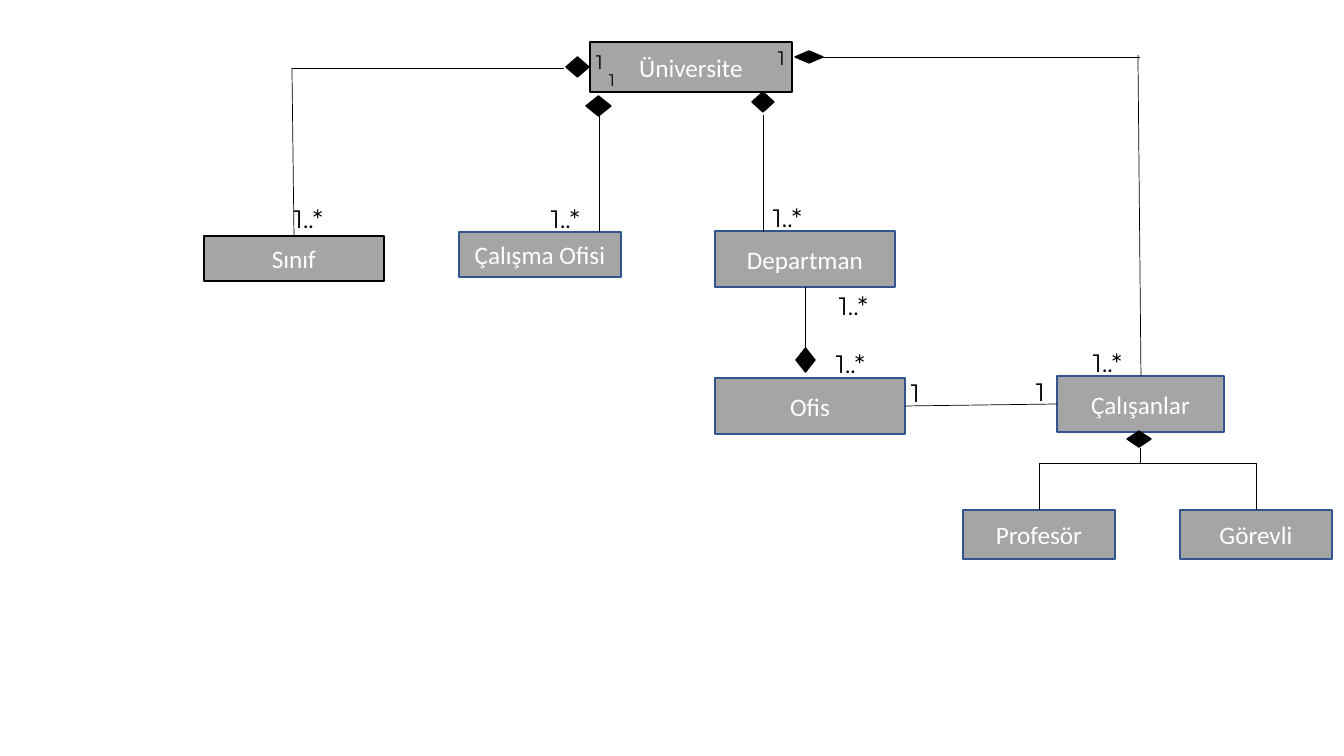
import pptx
import pptx.util
import pptx.dml.color
import pptx.enum.shapes
import pptx.enum.text
import pptx.oxml.ns
import lxml.etree

RGBColor = pptx.dml.color.RGBColor
Pt = pptx.util.Pt
MSO_SHAPE = pptx.enum.shapes.MSO_SHAPE
PP_ALIGN = pptx.enum.text.PP_ALIGN
MSO_ANCHOR = pptx.enum.text.MSO_ANCHOR
BLACK = RGBColor(0x00, 0x00, 0x00)
WHITE = RGBColor(0xFF, 0xFF, 0xFF)
GRAY = RGBColor(0xA5, 0xA5, 0xA5)
BLUE = RGBColor(0x32, 0x54, 0x91)

CLASSES = [
    ("Üniversite", (590, 42, 202, 50), BLACK),
    ("Sınıf", (204, 236, 180, 45), BLACK),
    ("Çalışma Ofisi", (459, 232, 162, 45), BLUE),
    ("Departman", (715, 231, 180, 56), BLUE),
    ("Ofis", (715, 378, 190, 56), BLUE),
    ("Çalışanlar", (1057, 376, 167, 56), BLUE),
    ("Profesör", (963, 510, 152, 49), BLUE),
    ("Görevli", (1180, 510, 152, 49), BLUE),
]
LINES = [
    (294, 236, 292, 68), (292, 68, 564, 68),
    (599, 232, 599, 115), (763, 232, 763, 115),
    (805, 287, 805, 360), (1057, 404, 905, 406),
    (1141, 376, 1138, 55), (1140, 57, 814, 57),
    (1256, 510, 1256, 463), (1039, 510, 1039, 463),
    (1039, 463, 1256, 463), (1140, 463, 1140, 448),
]
DIAMONDS = [
    (566, 57, 23, 20), (586, 96, 25, 20), (796, 348, 19, 24),
    (795, 51, 28, 12), (1127, 431, 24, 16), (752, 92, 22, 20),
]
MULTIPLICITIES = [
    ("1..*", 18, (69, 40), [(541, 198), (763, 197), (1083, 342), (826, 343), (829, 285)]),
    ("1..*", 18, (83, 40), [(284, 198)]),
    ("1", 18, (37, 40), [(901, 372), (1026, 371)]),
    ("1", 14, (33, 34), [(586, 45), (768, 41)]),
    ("1", 12, (31, 30), [(599, 65)]),
]


def px(*values):
    return [round(v * 914400 / 100.8) for v in values]


def add_shape(kind, box, fill, line):
    sp = s.shapes.add_shape(kind, *px(*box))
    sp.shadow.inherit = False
    sp.fill.solid()
    sp.fill.fore_color.rgb = fill
    sp.line.color.rgb = line
    sp.line.width = Pt(1)
    return sp


def set_text(tf, text, font, size, color, align):
    p = tf.paragraphs[0]
    p.text = text
    p.alignment = align
    p.font.name = font
    p.font.size = Pt(size)
    p.font.color.rgb = color


prs = pptx.Presentation()
prs.slide_width, prs.slide_height = px(1344, 756)
s = prs.slides.add_slide(prs.slide_layouts[6])

for name, box, line in CLASSES:
    tf = add_shape(MSO_SHAPE.RECTANGLE, box, GRAY, line).text_frame
    tf.vertical_anchor = MSO_ANCHOR.MIDDLE
    set_text(tf, name, "Calibri", 18, WHITE, PP_ALIGN.CENTER)

for ends in LINES:
    cxn = s.shapes.add_connector(pptx.enum.shapes.MSO_CONNECTOR.STRAIGHT, *px(*ends))
    cxn.line.color.rgb = BLACK
    cxn.line.width = Pt(0.5)
    lxml.etree.SubElement(cxn._element.spPr, pptx.oxml.ns.qn("a:effectLst"))

for box in DIAMONDS:
    add_shape(MSO_SHAPE.DIAMOND, box, BLACK, BLACK)

for text, size, extent, places in MULTIPLICITIES:
    for place in places:
        tf = s.shapes.add_textbox(*px(*place, *extent)).text_frame
        tf.word_wrap = extent[0] == 83
        tf.auto_size = pptx.enum.text.MSO_AUTO_SIZE.SHAPE_TO_FIT_TEXT
        set_text(tf, text, "Montserrat", size, BLACK, PP_ALIGN.LEFT)

prs.save("out.pptx")
